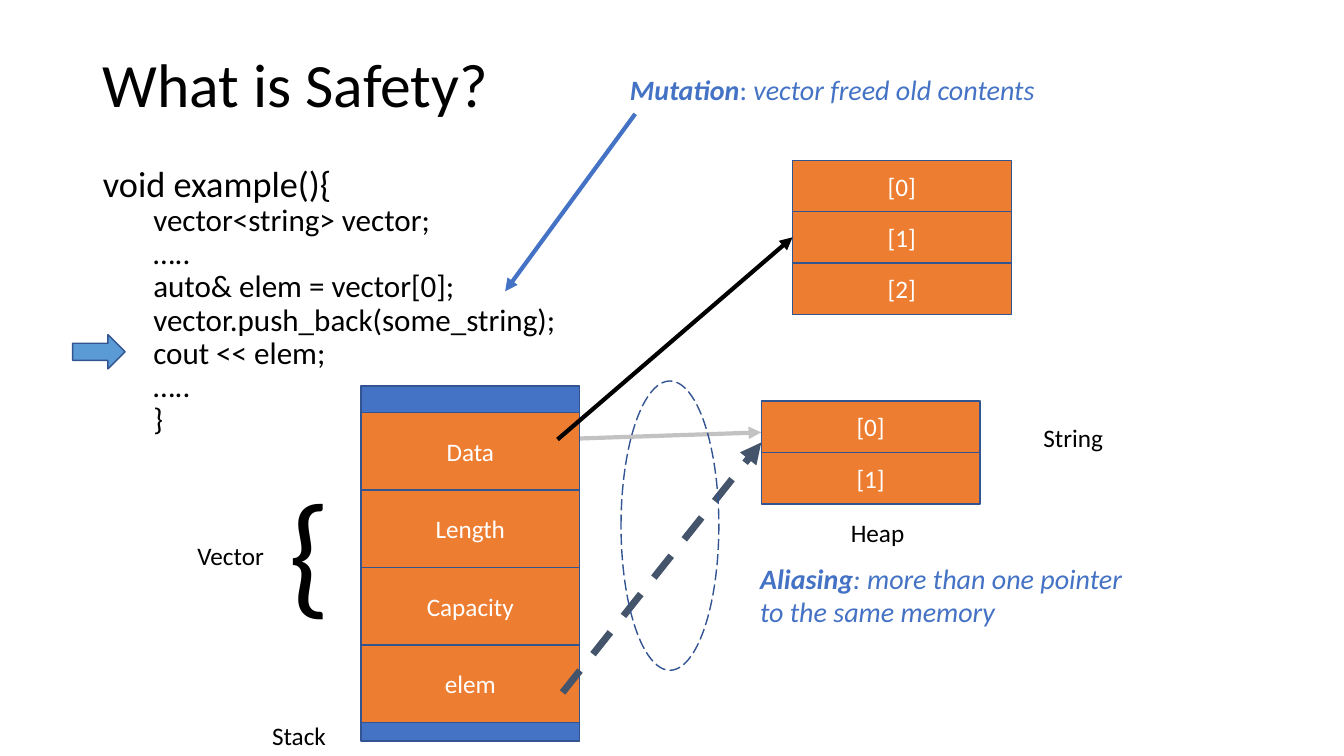
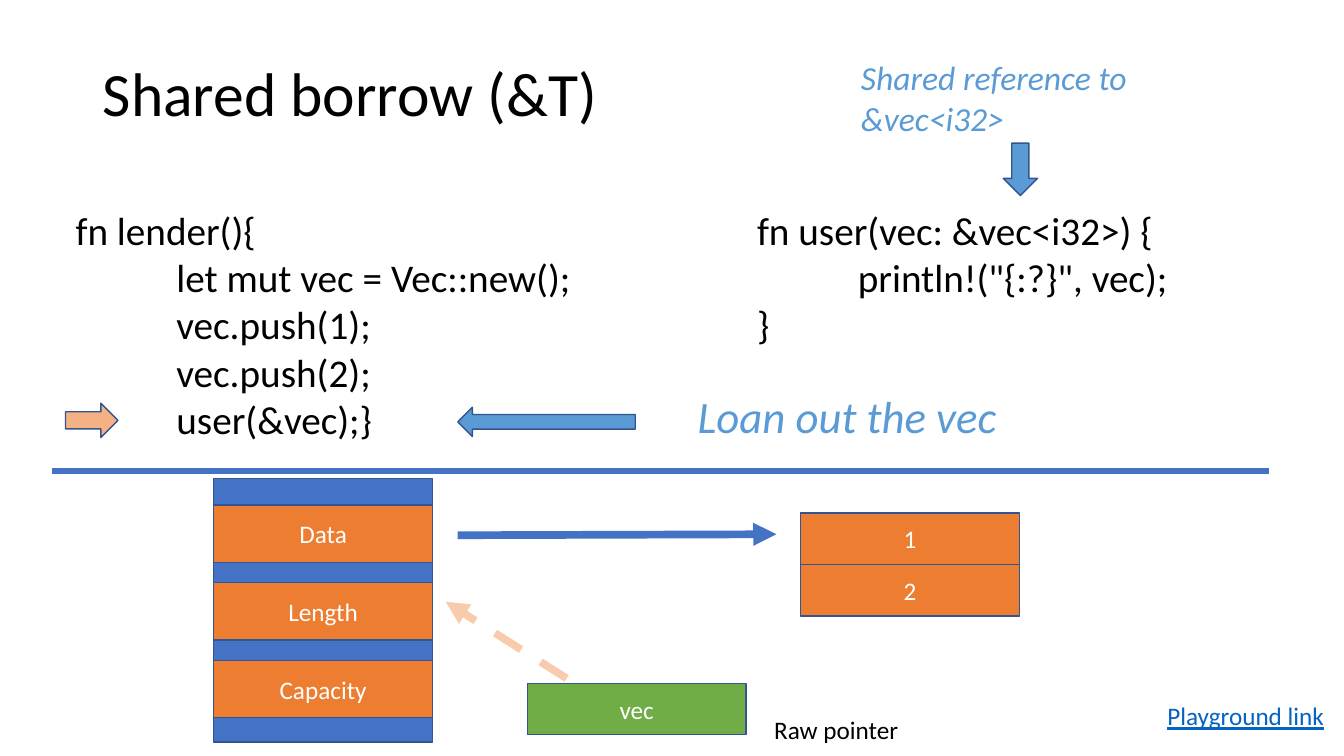
from lxml.etree import SubElement
from pptx import Presentation
from pptx.dml.color import RGBColor
from pptx.enum.dml import MSO_LINE as Dash
from pptx.enum.shapes import MSO_CONNECTOR as Link, MSO_SHAPE as Preset
from pptx.enum.text import MSO_ANCHOR as Anchor, MSO_AUTO_SIZE as Fit, PP_ALIGN as Align
from pptx.oxml.ns import qn
from pptx.util import Emu, Pt

BLACK = RGBColor(0x00, 0x00, 0x00)
WHITE = RGBColor(0xFF, 0xFF, 0xFF)
BLUE = RGBColor(0x44, 0x72, 0xC4)
SKY = RGBColor(0x5B, 0x9B, 0xD5)
NAVY = RGBColor(0x32, 0x54, 0x91)
SLATE = RGBColor(0x44, 0x54, 0x6A)
ORANGE = RGBColor(0xED, 0x7D, 0x31)
PEACH = RGBColor(0xF4, 0xB1, 0x83)
PALE_PEACH = RGBColor(0xF8, 0xCB, 0xAD)
GREEN = RGBColor(0x70, 0xAD, 0x47)
LINK_BLUE = RGBColor(0x05, 0x63, 0xC1)

FONT = "Calibri"
EMU_PER_PX = 9144
CELL_WIDTH = 217
CELL_PITCH = 77
HEAP_PITCH = 51
POINTER_SIZE = (52, 34)
BOLD_ITALIC = {"bold": True, "italic": True}
ITALIC = {"italic": True}


def px(length):
    """Turn px into EMU, at 100 px to the inch."""
    return Emu(length * EMU_PER_PX)


def px_box(*lengths):
    """Turn several px lengths into EMU."""
    return [px(length) for length in lengths]


def apply(target, values):
    """Set every attribute named in a dict of format values."""
    for key, value in values.items():
        setattr(target, key, value)


def write(frame, lines, size, color=BLACK, **layout):
    """Fill a text frame with lines, each a list of (text, font format) runs."""
    for number, line in enumerate(lines):
        paragraph = frame.paragraphs[0] if number == 0 else frame.add_paragraph()
        apply(paragraph, layout)
        for text, look in line:
            run = paragraph.add_run()
            run.text = text
            apply(run.font, {"name": FONT, "size": Pt(size), **look})
            run.font.color.rgb = color


def start_slide(deck, title, title_height, layout):
    """Add a slide with the shared title style."""
    slide = deck.slides.add_slide(deck.slide_layouts[layout])
    heading = slide.shapes.title
    place(heading, 92, 40, 1150, title_height)
    apply(heading.text_frame, {"vertical_anchor": Anchor.MIDDLE,
                               "auto_size": Fit.NONE, "word_wrap": True})
    write(heading.text_frame, [[(title, {})]], 44,
          alignment=Align.LEFT, line_spacing=0.9)
    return slide


def place(holder, left, top, width, height):
    """Move a placeholder to a box in px."""
    apply(holder, dict(zip(("left", "top", "width", "height"),
                           px_box(left, top, width, height))))


def code_block(holder, lines, step, spacing=1.0):
    """Write (depth, text, size, space before) code lines without bullets."""
    frame = holder.text_frame
    apply(frame, {"word_wrap": True, "auto_size": Fit.NONE})
    for number, (depth, text, size, gap) in enumerate(lines):
        paragraph = frame.paragraphs[0] if number == 0 else frame.add_paragraph()
        apply(paragraph, {"level": depth, "line_spacing": spacing,
                          "space_before": Pt(gap), "space_after": Pt(0)})
        properties = paragraph._p.get_or_add_pPr()
        properties.set("marL", str(px(depth * step)))
        properties.set("indent", "0")
        SubElement(properties, qn("a:buNone"))
        run = paragraph.add_run()
        run.text = text
        apply(run.font, {"name": FONT, "size": Pt(size)})
        run.font.color.rgb = BLACK


def note(slide, box, lines, size=18, color=BLACK, wrap=False):
    """Add a free text label."""
    label = slide.shapes.add_textbox(*px_box(*box))
    apply(label.text_frame, {"word_wrap": wrap, "auto_size": Fit.SHAPE_TO_FIT_TEXT})
    write(label.text_frame, lines, size, color)


def outlined(slide, preset, box, fill=None, text="", dash=None, rotation=0):
    """Add a navy-edged preset shape, with a centred white label if given."""
    shape = slide.shapes.add_shape(preset, *px_box(*box))
    shape.shadow.inherit = False
    shape.rotation = rotation
    if fill is None:
        shape.fill.background()
    else:
        shape.fill.solid()
        shape.fill.fore_color.rgb = fill
    shape.line.color.rgb = NAVY
    apply(shape.line, {"width": Pt(1), "dash_style": dash})
    if text:
        shape.text_frame.vertical_anchor = Anchor.MIDDLE
        write(shape.text_frame, [[(text, {})]], 18, WHITE, alignment=Align.CENTER)
    return shape


def cells(slide, left, top, labels, pitch=HEAP_PITCH, height=HEAP_PITCH, fill=ORANGE):
    """Add a column of labelled memory cells."""
    return [outlined(slide, Preset.RECTANGLE,
                     (left, top + row * pitch, CELL_WIDTH, height), fill, label)
            for row, label in enumerate(labels)]


def stack(slide, left, top, height, labels, cell_height):
    """Add the blue stack frame with its cells."""
    outlined(slide, Preset.RECTANGLE, (left, top, CELL_WIDTH, height), BLUE)
    cells(slide, left, top + 26, labels, CELL_PITCH, cell_height)


def pointer(slide, start, end, color, width, dash=None, arrow=True, opacity=None):
    """Add a straight line, by default with an arrowhead at its end."""
    line = slide.shapes.add_connector(Link.STRAIGHT, *px_box(*start, *end))
    line.line.color.rgb = color
    apply(line.line, {"width": Pt(width), "dash_style": dash})
    properties = line._element.spPr
    stroke = properties.find(qn("a:ln"))
    if opacity:
        shade = stroke.find(".//" + qn("a:srgbClr"))
        SubElement(shade, qn("a:alpha"), val=str(opacity * 1000))
    if arrow:
        SubElement(stroke, qn("a:tailEnd"), type="triangle")
    SubElement(properties, qn("a:effectLst"))
    return line


def safety_slide(deck):
    """Show a dangling reference after a vector grows."""
    slide = start_slide(deck, "What is Safety?", 94, 1)
    code = slide.placeholders[1]
    place(code, 92, 167, 1150, 272)
    body = ("vector<string> vector;", "…..", "auto& elem = vector[0];",
            "vector.push_back(some_string);", "cout << elem;", "…..", "}")
    code_block(code, [(0, "void example(){", 25.9, 0)]
               + [(1, text, 22.2, 5) for text in body], 50, 0.7)

    stack(slide, 358, 383, 352, ("Data", "Length", "Capacity", "elem"), CELL_PITCH)
    cells(slide, 755, 398, ("[0]", "[1]"))
    new_contents = cells(slide, 786, 159, ("[0]", "[1]", "[2]"))

    for text, left, top, width in (("Vector", 186, 531, 87), ("String", 1025, 414, 80),
                                   ("Stack", 260, 710, 74), ("Heap", 834, 508, 74)):
        note(slide, (left, top, width, 40), [[(text, {})]])
    note(slide, (276, 458, 34, 172), [[("{", {})]], 96, wrap=True)

    pointer(slide, (575, 435), (755, 429), BLACK, 3, opacity=23)
    pointer(slide, (558, 687), (755, 439), SLATE, 5, Dash.DASH)
    data_pointer = pointer(slide, (553, 436), (786, 234), BLACK, 3)
    data_pointer.end_connect(new_contents[1], 1)
    pointer(slide, (630, 113), (501, 289), BLUE, 3)

    outlined(slide, Preset.RIGHT_ARROW, (72, 332, *POINTER_SIZE), SKY)
    outlined(slide, Preset.OVAL, (616, 378, 97, 287), dash=Dash.LONG_DASH)
    note(slide, (744, 552, 388, 77),
         [[("Aliasing", BOLD_ITALIC), (": more than one pointer", ITALIC)],
          [("to the same memory", ITALIC)]], 20, BLUE)
    note(slide, (615, 67, 424, 44),
         [[("Mutation", BOLD_ITALIC), (": ", {}),
           ("vector freed old contents", ITALIC)]], 20, BLUE)


def borrow_slide(deck):
    """Show a vector lent out through a shared reference."""
    slide = start_slide(deck, "Shared borrow (&T)", 112, 1)
    lender = slide.placeholders[1]
    place(lender, 65, 200, 593, 269)
    user = slide.shapes.add_textbox(*px_box(741, 200, 555, 182))
    listings = (
        (lender, ((0, "fn lender(){"), (1, "let mut vec = Vec::new();"),
                  (1, "vec.push(1);"), (1, "vec.push(2);"), (1, "user(&vec);}"))),
        (user, ((0, "fn user(vec: &vec<i32>) {"), (1, 'println!("{:?}", vec);'),
                (0, "}"))),
    )
    for holder, lines in listings:
        code_block(holder, [(depth, text, 28, 0) for depth, text in lines], 100)

    pointer(slide, (52, 467), (1259, 467), BLUE, 4.25, arrow=False)
    stack(slide, 212, 475, 261, ("Data", "Length", "Capacity"), 57)
    cells(slide, 794, 509, ("1", "2"))
    cells(slide, 523, 678, ("vec",), fill=GREEN)
    pointer(slide, (454, 531), (770, 530), BLUE, 5.5)
    pointer(slide, (562, 673), (442, 597), PALE_PEACH, 5.5, Dash.DASH)

    outlined(slide, Preset.RIGHT_ARROW, (454, 404, 176, 29), SKY, rotation=180)
    outlined(slide, Preset.RIGHT_ARROW, (986, 151, *POINTER_SIZE), SKY, rotation=90)
    outlined(slide, Preset.RIGHT_ARROW, (65, 400, *POINTER_SIZE), PEACH)

    note(slide, (682, 381, 323, 64), [[("Loan out the vec", ITALIC)]], 32, SKY)
    note(slide, (844, 52, 341, 91),
         [[("Shared reference to &vec<i32>", ITALIC)]], 24, SKY, True)
    note(slide, (1148, 690, 177, 40),
         [[("Playground link", {"underline": True})]], color=LINK_BLUE)
    note(slide, (758, 704, 145, 40), [[("Raw pointer", {})]])


def main():
    """Build and save the deck."""
    deck = Presentation()
    apply(deck, {"slide_width": px(1333), "slide_height": px(750)})
    safety_slide(deck)
    borrow_slide(deck)
    deck.save("out.pptx")


if __name__ == "__main__":
    main()
